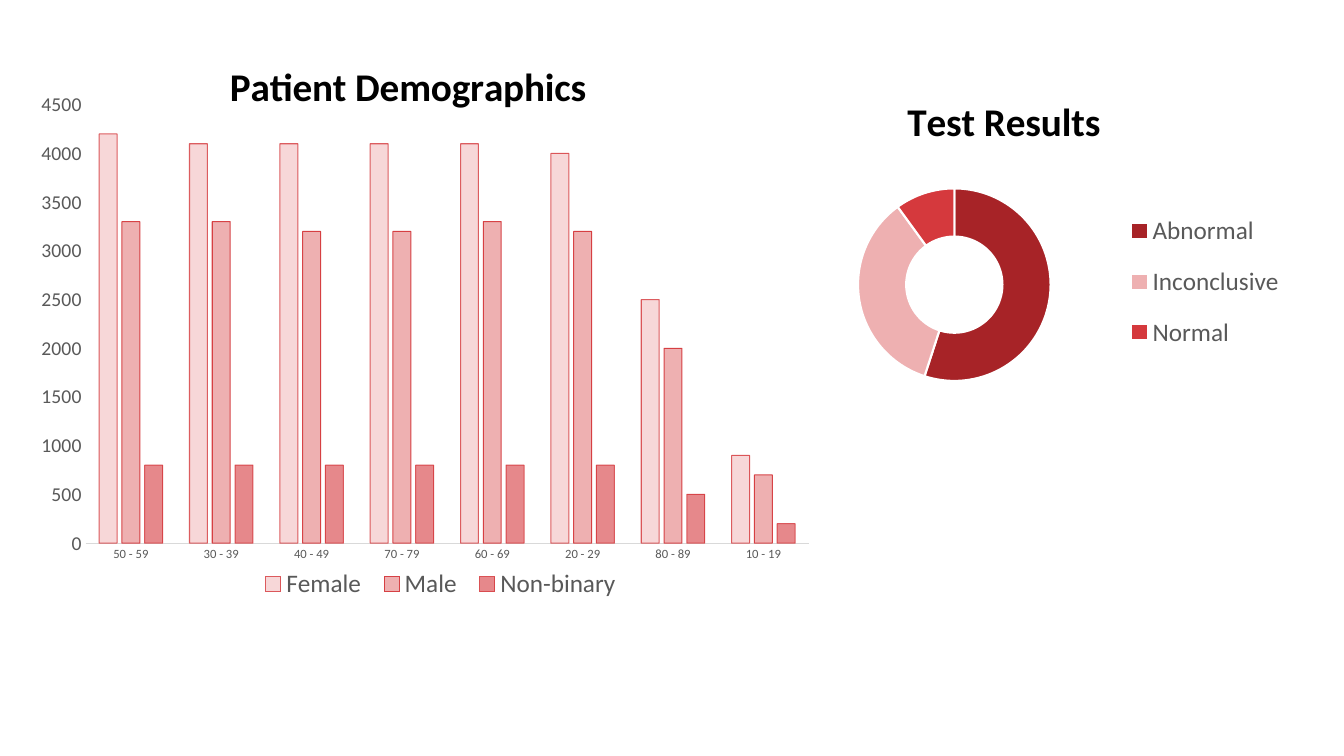
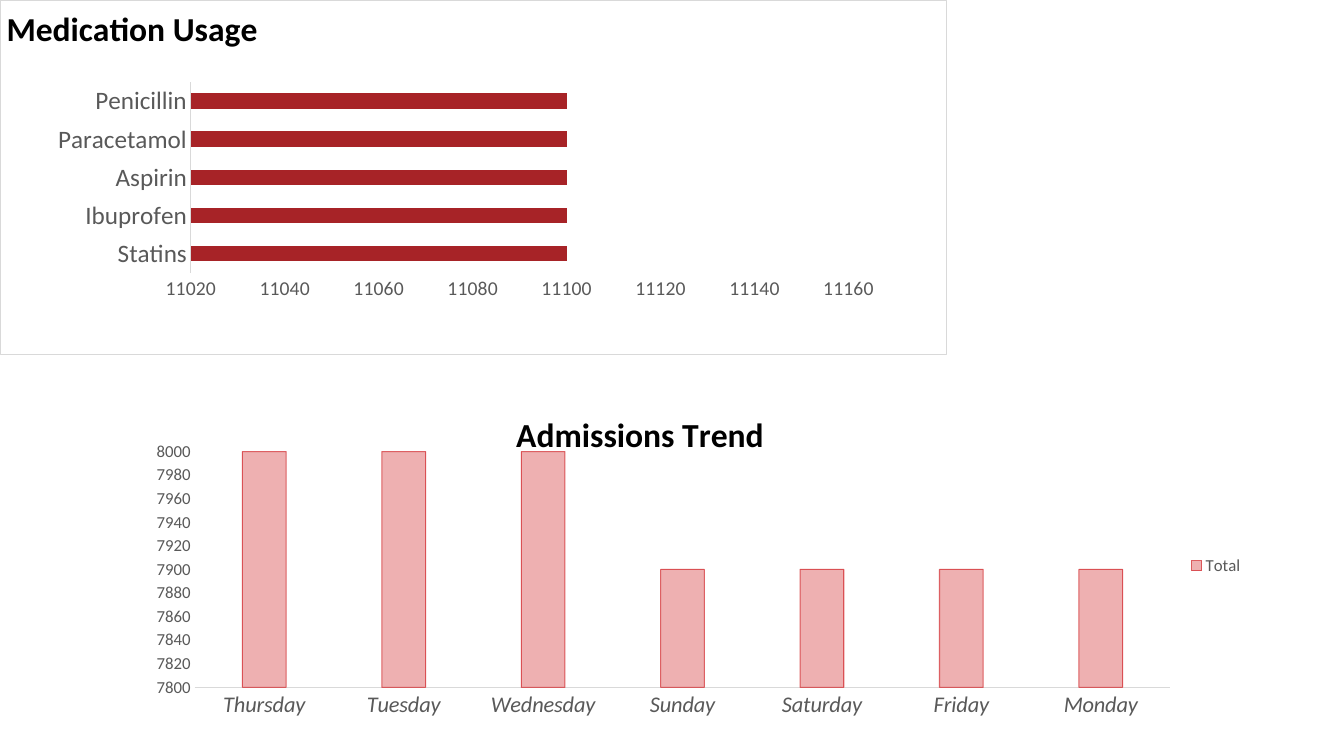
from lxml import etree
from pptx import Presentation
from pptx.chart.data import CategoryChartData
from pptx.dml.color import RGBColor
from pptx.enum.chart import XL_CHART_TYPE, XL_LEGEND_POSITION, XL_TICK_MARK
from pptx.oxml import parse_xml
from pptx.oxml.ns import nsdecls, qn
from pptx.util import Inches, Pt

FONT = "Calibri"
COLORS = {
    "title": "000000",
    "label": "595959",
    "rule": "D9D9D9",
    "gap": "FFFFFF",
    "dark": "A72327",
    "red": "D5393D",
    "rose": "E6888B",
    "pink": "EEB0B1",
    "blush": "F7D7D8",
}

SLIDES = [
    [
        {
            "type": XL_CHART_TYPE.COLUMN_CLUSTERED,
            "frame": (0, 0.43, 8.09, 5.86),
            "title": ("Patient Demographics", 28, (2.21, 0.1)),
            "plot": (0.85, 0.61, 7.17, 4.35),
            "categories": ["50 - 59", "30 - 39", "40 - 49", "70 - 79",
                           "60 - 69", "20 - 29", "80 - 89", "10 - 19"],
            "series": [
                ("Female", [4200, 4100, 4100, 4100, 4100, 4000, 2500, 900], "blush"),
                ("Male", [3300, 3300, 3200, 3200, 3300, 3200, 2000, 700], "pink"),
                ("Non-binary", [800, 800, 800, 800, 800, 800, 500, 200], "rose"),
            ],
            "outline_opacity": [81, 94, 83],
            "gap": 150,
            "overlap": -27,
            "axis_sizes": (9, 14),
            "scale": (0, 4500, 500),
            "legend": (XL_LEGEND_POSITION.TOP, 18, (2.49, 5.19, 3.76, 0.35)),
        },
        {
            "type": XL_CHART_TYPE.DOUGHNUT,
            "frame": (7.39, 0.23, 5.82, 4.89),
            "title": ("Test Results", 28, (1.54, 0.64)),
            "plot": (1.12, 1.64, 1.91, 1.91),
            "categories": ["Abnormal", "Inconclusive", "Normal"],
            "series": [("Series 1", [55, 35, 10], None)],
            "points": ["dark", "pink", "red"],
            "hole": 51,
            "legend": (XL_LEGEND_POSITION.RIGHT, 18, (3.69, 1.71, 1.75, 1.71)),
        },
    ],
    [
        {
            "type": XL_CHART_TYPE.BAR_CLUSTERED,
            "frame": (0, 0, 9.39, 3.52),
            "title": ("Medication Usage", 24, (0, 0)),
            "plot": (1.89, 0.81, 6.53, 1.9),
            "categories": ["Statins", "Ibuprofen", "Aspirin", "Paracetamol", "Penicillin"],
            "series": [("Series 1", [11100, 11100, 11100, 11100, 11100], "dark")],
            "gap": 150,
            "axis_sizes": (18, 14),
            "scale": (11020, 11160, 20),
            "border": "rule",
        },
        {
            "type": XL_CHART_TYPE.COLUMN_CLUSTERED,
            "frame": (0.11, 3.98, 12.33, 3.27),
            "title": ("Admissions Trend", 24, (4.95, 0.05)),
            "plot": (1.82, 0.5, 9.68, 2.34),
            "categories": ["Thursday", "Tuesday", "Wednesday", "Sunday",
                           "Saturday", "Friday", "Monday"],
            "series": [("Total", [8000, 8000, 8000, 7900, 7900, 7900, 7900], "pink")],
            "outline_opacity": [80],
            "gap": 219,
            "overlap": -27,
            "axis_sizes": (16, 12),
            "italic": True,
            "scale": (7800, 8000, 20),
            "legend": (XL_LEGEND_POSITION.RIGHT, 12, None),
        },
    ],
]


def style_font(font, size, color):
    font.name = FONT
    font.size = Pt(size)
    font.color.rgb = RGBColor.from_string(COLORS[color])


def set_layout(element, index, box, frame, inner=False):
    for old_layout in element.findall(qn("c:layout")):
        element.remove(old_layout)
    layout = parse_xml(f"<c:layout {nsdecls('c')}><c:manualLayout/></c:layout>")
    settings = [("layoutTarget", "inner")] if inner else []
    settings += [("xMode", "edge"), ("yMode", "edge")]
    fractions = [length / total for length, total in zip(box, frame[2:] * 2)]
    settings += zip("xywh", fractions)
    for name, value in settings:
        etree.SubElement(layout[0], qn(f"c:{name}")).set("val", str(value))
    element.insert(index, layout)


presentation = Presentation()
presentation.slide_width = Inches(13.33)
presentation.slide_height = Inches(7.5)

for panels in SLIDES:
    slide = presentation.slides.add_slide(presentation.slide_layouts[6])
    for panel in panels:
        chart_data = CategoryChartData()
        chart_data.categories = panel["categories"]
        for name, values, color in panel["series"]:
            chart_data.add_series(name, values)
        frame = panel["frame"]
        left, top, width, height = [Inches(length) for length in frame]
        chart = slide.shapes.add_chart(panel["type"], left, top, width, height, chart_data).chart
        style_font(chart.font, 10, "title")

        border = "<a:noFill/>"
        if "border" in panel:
            border = f'<a:solidFill><a:srgbClr val="{COLORS[panel["border"]]}"/></a:solidFill>'
        chart.element.find(qn("c:chart")).addnext(parse_xml(
            f'<c:spPr {nsdecls("c", "a")}><a:noFill/>'
            f'<a:ln w="{Pt(0.75)}">{border}</a:ln></c:spPr>'))

        title, title_size, title_position = panel["title"]
        chart.has_title = True
        paragraph = chart.chart_title.text_frame.paragraphs[0]
        paragraph.text = title
        style_font(paragraph.runs[0].font, title_size, "title")
        paragraph.runs[0].font.bold = True
        set_layout(chart.element.find(f".//{qn('c:title')}"), 1, title_position, frame)
        set_layout(chart.element.find(f".//{qn('c:plotArea')}"), 0, panel["plot"], frame, inner=True)

        chart.has_legend = "legend" in panel
        if chart.has_legend:
            position, legend_size, legend_box = panel["legend"]
            chart.legend.position = position
            chart.legend.include_in_layout = False
            style_font(chart.legend.font, legend_size, "label")
            if legend_box:
                set_layout(chart.element.find(f".//{qn('c:legend')}"), 1, legend_box, frame)

        plot = chart.plots[0]
        plot.vary_by_categories = "points" in panel
        if "points" in panel:
            for index, color in enumerate(panel["points"]):
                point_format = plot.series[0].points[index].format
                point_format.fill.solid()
                point_format.fill.fore_color.rgb = RGBColor.from_string(COLORS[color])
                point_format.line.color.rgb = RGBColor.from_string(COLORS["gap"])
                point_format.line.width = Pt(1.5)
            chart.element.find(f".//{qn('c:holeSize')}").set("val", str(panel["hole"]))
            continue

        plot.gap_width = panel["gap"]
        plot.overlap = panel.get("overlap", 0)
        for series, (name, values, color) in zip(plot.series, panel["series"]):
            series.format.fill.solid()
            series.format.fill.fore_color.rgb = RGBColor.from_string(COLORS[color])
            if "outline_opacity" in panel:
                series.format.line.color.rgb = RGBColor.from_string(COLORS["red"])
                series.format.line.width = Pt(0.75)
            else:
                series.format.line.fill.background()
        outline_colors = chart.element.findall(
            f".//{qn('c:ser')}/{qn('c:spPr')}/{qn('a:ln')}//{qn('a:srgbClr')}")
        for outline_color, opacity in zip(outline_colors, panel.get("outline_opacity", [])):
            etree.SubElement(outline_color, qn("a:alpha")).set("val", str(opacity * 1000))

        category_axis, value_axis = chart.category_axis, chart.value_axis
        for axis, size in zip((category_axis, value_axis), panel["axis_sizes"]):
            axis.has_major_gridlines = False
            axis.major_tick_mark = XL_TICK_MARK.NONE
            axis.minor_tick_mark = XL_TICK_MARK.NONE
            style_font(axis.tick_labels.font, size, "label")
        category_axis.tick_labels.font.italic = panel.get("italic", False)
        category_axis.format.line.color.rgb = RGBColor.from_string(COLORS["rule"])
        category_axis.format.line.width = Pt(0.75)
        value_axis.format.line.fill.background()
        value_axis.minimum_scale, value_axis.maximum_scale, value_axis.major_unit = panel["scale"]

presentation.save("out.pptx")
